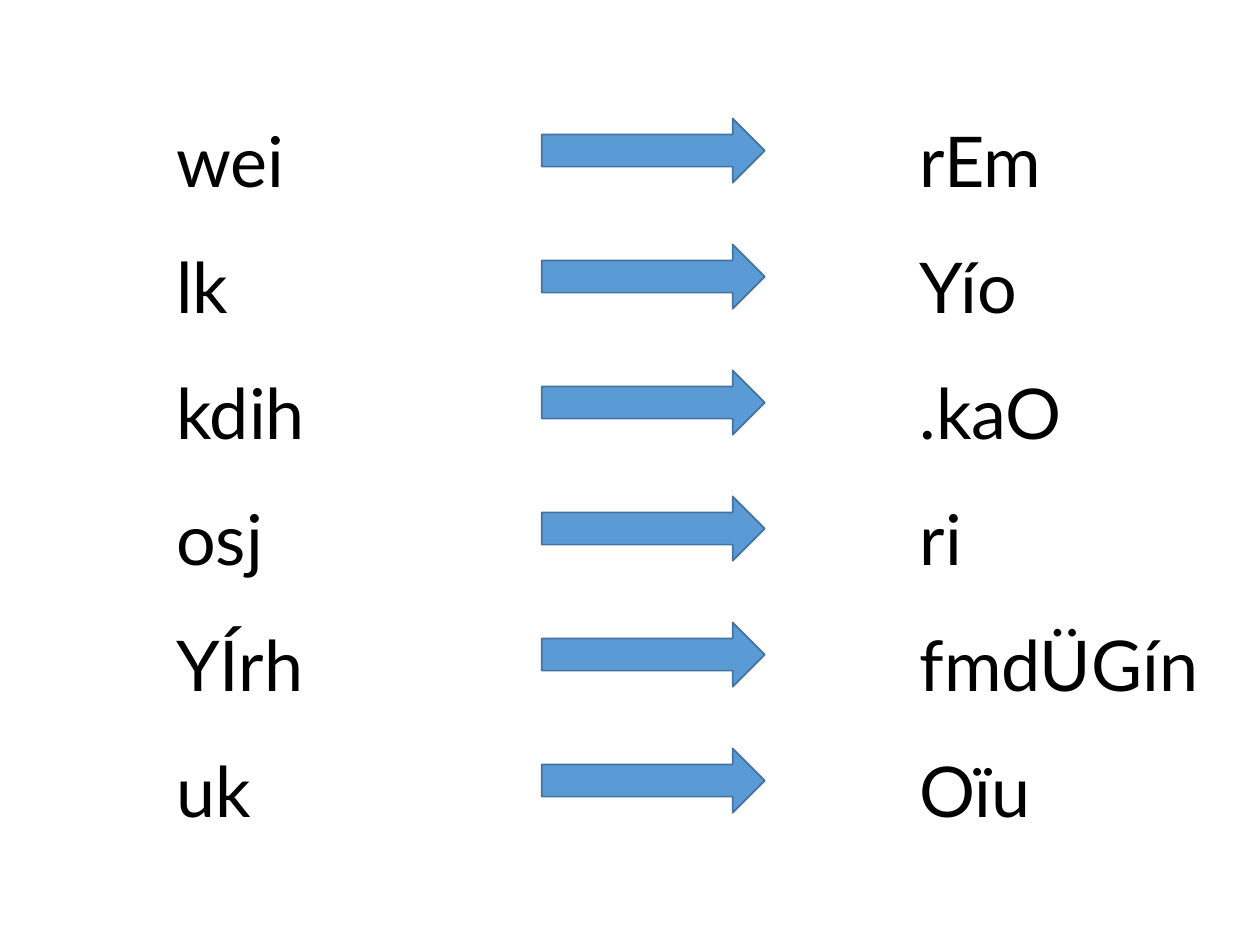
from pptx import Presentation, util as u
from pptx.dml.color import RGBColor
from pptx.enum import shapes, text

COLORS = {"word": "000000", "arrow": "5B9BD5", "arrow_edge": "43739E"}
PAIRS = [
    ("wei", "rEm"),
    ("lk", "Yío"),
    ("kdih", ".kaO"),
    ("osj", "ri"),
    ("YÍrh", "fmdÜGín"),
    ("uk", "Oïu"),
]


def color(name):
    return RGBColor.from_string(COLORS[name])


def add_word_column(slide, left, width, words):
    column = slide.shapes.add_textbox(
        u.Inches(left), u.Inches(0.55), u.Inches(width), u.Inches(6.16)
    )
    frame = column.text_frame
    frame.word_wrap = True
    frame.auto_size = text.MSO_AUTO_SIZE.SHAPE_TO_FIT_TEXT
    for index, word in enumerate(words):
        line = frame.add_paragraph() if index else frame.paragraphs[0]
        line.line_spacing = 1.5
        run = line.add_run()
        run.text = word
        run.font.name = "Lato"
        run.font.size = u.Pt(40)
        run.font.color.rgb = color("word")


def add_arrow(slide, top):
    arrow = slide.shapes.add_shape(
        shapes.MSO_SHAPE.RIGHT_ARROW,
        u.Inches(4.3), u.Inches(top), u.Inches(1.77), u.Inches(0.51),
    )
    arrow.shadow.inherit = False
    arrow.fill.solid()
    arrow.fill.fore_color.rgb = color("arrow")
    arrow.line.color.rgb = color("arrow_edge")
    arrow.line.width = u.Pt(1)


def main():
    deck = Presentation()
    deck.slide_width = u.Inches(10)
    deck.slide_height = u.Inches(7.5)
    slide = deck.slides.add_slide(deck.slide_layouts[6])

    left_words, right_words = zip(*PAIRS)
    add_word_column(slide, 1.3, 1.88, left_words)
    add_word_column(slide, 7.2, 3.02, right_words)
    for row in range(len(PAIRS)):
        add_arrow(slide, 0.94 + row)

    deck.save("out.pptx")


if __name__ == "__main__":
    main()
